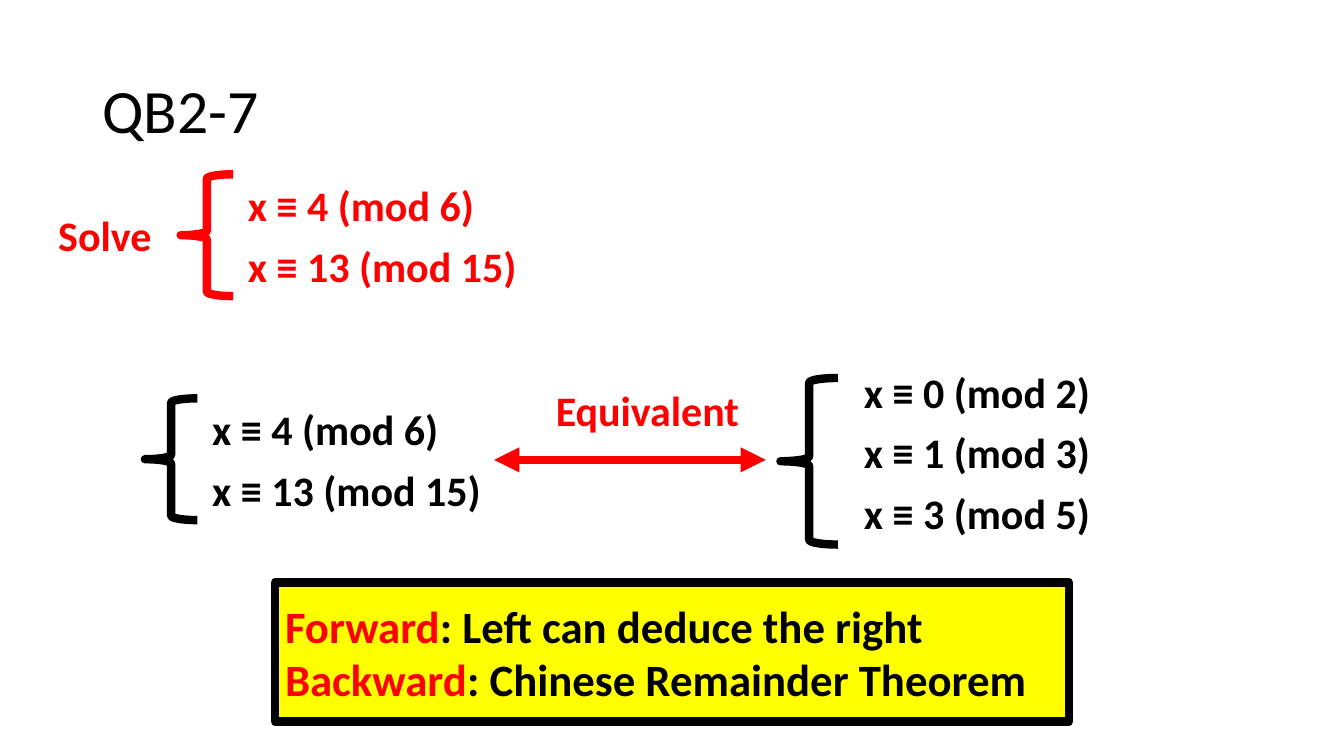
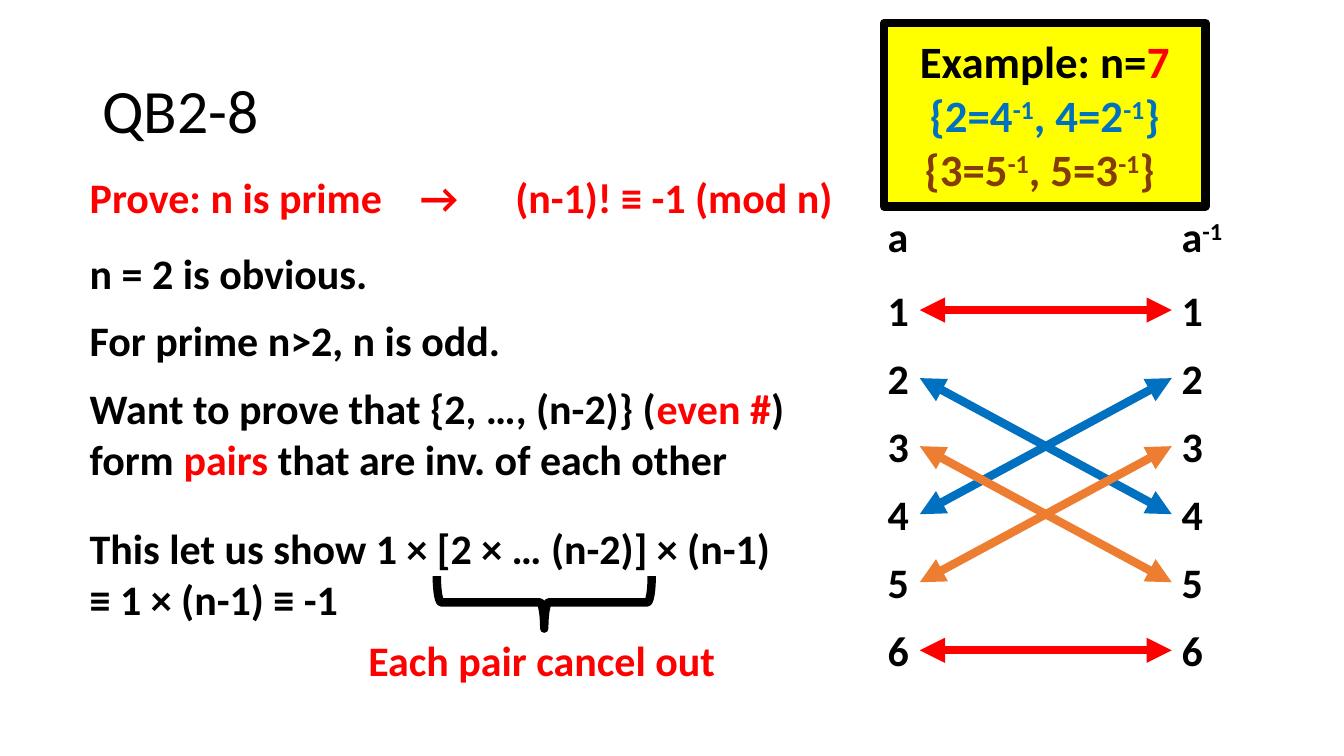
from lxml import etree
from pptx import Presentation
from pptx.dml.color import RGBColor
from pptx.enum.shapes import MSO_CONNECTOR as CONNECTOR, MSO_SHAPE as SHAPE
from pptx.enum.text import MSO_ANCHOR as ANCHOR, PP_ALIGN as ALIGN
from pptx.oxml.ns import qn
from pptx.util import Pt

FONT = "Calibri"
BLACK, RED, BLUE = "000000", "FF0000", "0070C0"
ORANGE, BROWN, YELLOW = "ED7D31", "843C0B", "FFFF00"
color = RGBColor.from_string
STROKE = Pt(6)
TEXT_HEIGHT = 44


def write_lines(frame, lines, size, align=ALIGN.LEFT):
    """Write each line, a list of (text, colour) runs; text between ^ marks is raised."""
    frame.word_wrap = True
    for index, line in enumerate(lines):
        paragraph = frame.add_paragraph() if index else frame.paragraphs[0]
        paragraph.alignment = align
        paragraph.font.name = FONT
        paragraph.font.size = Pt(size)
        paragraph.font.bold = True
        for text, hue in line:
            for position, part in enumerate(text.split("^")):
                if not part:
                    continue
                run = paragraph.add_run()
                run.text = part
                run.font.color.rgb = color(hue)
                if position % 2:
                    run.font._element.set("baseline", "30000")


def add_label(slide, left, top, width, *lines):
    height = TEXT_HEIGHT + 36 * (len(lines) - 1)
    label = slide.shapes.add_textbox(Pt(left), Pt(top), Pt(width), Pt(height))
    write_lines(label.text_frame, lines, 30)
    return label


presentation = Presentation()
presentation.slide_width = Pt(960)
presentation.slide_height = Pt(540)

slides = []
for heading in ("QB2-7", "QB2-8"):
    slide = presentation.slides.add_slide(presentation.slide_layouts[5])
    title = slide.shapes.title
    title.left, title.top, title.width, title.height = Pt(66), Pt(29), Pt(828), Pt(104)
    title.text_frame.text = heading
    title.text_frame.vertical_anchor = ANCHOR.MIDDLE
    paragraph = title.text_frame.paragraphs[0]
    paragraph.alignment = ALIGN.LEFT
    paragraph.line_spacing = 0.9
    paragraph.font.name = FONT
    paragraph.font.size = Pt(44)
    paragraph.font.color.rgb = color(BLACK)
    slides.append(slide)
congruence_slide, proof_slide = slides

# Congruence systems
systems = [
    (170, 124.5, RED, ["x ≡ 4 (mod 6)", "x ≡ 13 (mod 15)"]),
    (144.5, 284.5, BLACK, ["x ≡ 4 (mod 6)", "x ≡ 13 (mod 15)"]),
    (610, 258, BLACK, ["x ≡ 0 (mod 2)", "x ≡ 1 (mod 3)", "x ≡ 3 (mod 5)"]),
]
for left, top, hue, equations in systems:
    for row, equation in enumerate(equations):
        add_label(congruence_slide, left, top + 43.5 * row, 220, [(equation, hue)])
add_label(congruence_slide, 34.5, 146, 90, [("Solve", RED)])
add_label(congruence_slide, 390, 271, 155, [("Equivalent", RED)])

# Proof steps
claim = add_label(proof_slide, 57, 119, 560,
                  [("Prove: n is prime\t→\t(n-1)! ≡ -1 (mod n)", RED)])
properties = claim.text_frame.paragraphs[0]._p.get_or_add_pPr()
tab_list = etree.Element(qn("a:tabLst"))
for stop in (236, 304):
    etree.SubElement(tab_list, qn("a:tab"), pos=str(Pt(stop)), algn="l")
properties.insert(0, tab_list)

add_label(proof_slide, 57, 173, 330, [("n = 2 is obvious.", BLACK)])
add_label(proof_slide, 57, 221, 330, [("For prime n>2, n is odd.", BLACK)])
add_label(proof_slide, 57, 270, 540,
          [("Want to prove that {2, …, (n-2)} (", BLACK), ("even #", RED), (")", BLACK)],
          [("form ", BLACK), ("pairs", RED), (" that are inv. of each other", BLACK)])
add_label(proof_slide, 57, 370, 540,
          [("This let us show 1 × [2 × … (n-2)] × (n-1)", BLACK)],
          [("≡ 1 × (n-1) ≡ -1", BLACK)])
add_label(proof_slide, 256, 450, 280, [("Each pair cancel out", RED)])

# Numbers and their inverses
NUMBER_LEFT, INVERSE_LEFT = 627, 837
add_label(proof_slide, NUMBER_LEFT, 147, 30, [("a", BLACK)])
add_label(proof_slide, INVERSE_LEFT, 147, 55, [("a^-1^", BLACK)])
numbers, inverses = {}, {}
for left, column in ((NUMBER_LEFT, numbers), (INVERSE_LEFT, inverses)):
    for number in range(1, 7):
        top = 199.5 + 48.6 * (number - 1)
        column[number] = add_label(proof_slide, left, top, 30, [(str(number), BLACK)])

# Yellow boxes
boxes = [
    (congruence_slide, (196.5, 416, 567, 99.5), ALIGN.LEFT, [
        [("Forward", RED), (": Left can deduce the right", BLACK)],
        [("Backward", RED), (": Chinese Remainder Theorem", BLACK)],
    ]),
    (proof_slide, (631.5, 16.5, 229.5, 131), ALIGN.CENTER, [
        [("Example: n=", BLACK), ("7", RED)],
        [("{2=4^-1^, 4=2^-1^}", BLUE)],
        [("{3=5^-1^, 5=3^-1^} ", BROWN)],
    ]),
]
for slide, bounds, align, lines in boxes:
    box = slide.shapes.add_shape(SHAPE.RECTANGLE, *map(Pt, bounds))
    box.shadow.inherit = False
    box.fill.solid()
    box.fill.fore_color.rgb = color(YELLOW)
    box.line.color.rgb = color(BLACK)
    box.line.width = STROKE
    box.text_frame.vertical_anchor = ANCHOR.MIDDLE
    write_lines(box.text_frame, lines, 32, align)

# Braces
braces = [
    (congruence_slide, (129, 124.5, 37.5, 87), RED, 0),
    (congruence_slide, (103.5, 284.5, 37.5, 87), BLACK, 0),
    (congruence_slide, (557.5, 270, 41, 119), BLACK, 0),
    (proof_slide, (370, 353.5, 37.5, 153.5), BLACK, 270),
]
for slide, bounds, hue, rotation in braces:
    brace = slide.shapes.add_shape(SHAPE.LEFT_BRACE, *map(Pt, bounds))
    brace.shadow.inherit = False
    brace.rotation = rotation
    brace.fill.background()
    brace.line.color.rgb = color(hue)
    brace.line.width = STROKE

# Double arrows
equivalence = congruence_slide.shapes.add_connector(
    CONNECTOR.STRAIGHT, Pt(353), Pt(328.5), Pt(547), Pt(328.5))
arrows = [(equivalence, RED)]
pairs = [(1, 1, RED), (6, 6, RED), (2, 4, BLUE), (4, 2, BLUE), (5, 3, ORANGE), (3, 5, ORANGE)]
for number, inverse, hue in pairs:
    arrow = proof_slide.shapes.add_connector(CONNECTOR.STRAIGHT, 0, 0, 0, 0)
    arrow.begin_connect(numbers[number], 3)
    arrow.end_connect(inverses[inverse], 1)
    arrows.append((arrow, hue))
for arrow, hue in arrows:
    arrow.line.color.rgb = color(hue)
    arrow.line.width = STROKE
    shape_properties = arrow._element.spPr
    outline = shape_properties.find(qn("a:ln"))
    for end in ("a:headEnd", "a:tailEnd"):
        etree.SubElement(outline, qn(end), type="triangle")
    etree.SubElement(shape_properties, qn("a:effectLst"))

presentation.save("out.pptx")
